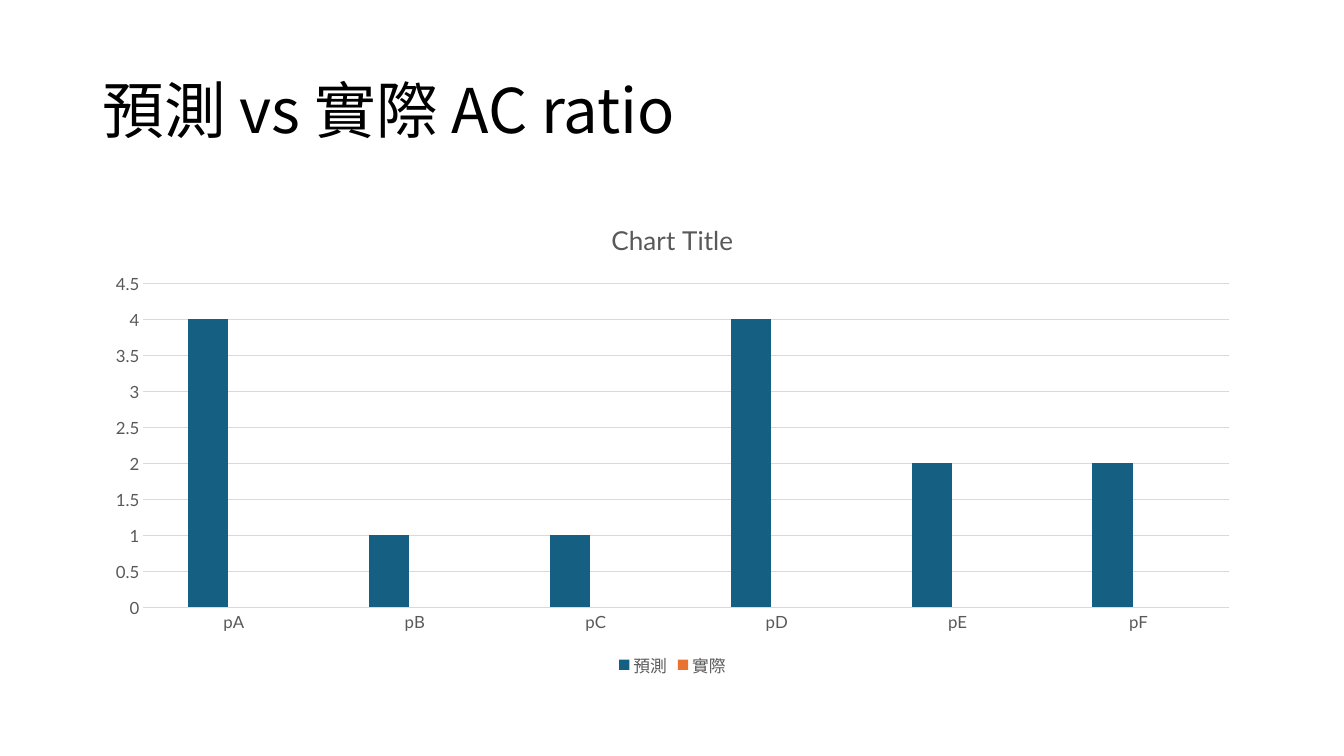
from lxml import etree
from pptx import Presentation
from pptx.chart.data import CategoryChartData
from pptx.dml.color import RGBColor
from pptx.enum.chart import XL_CHART_TYPE as ChartType, XL_LEGEND_POSITION as LegendPosition
from pptx.enum.chart import XL_TICK_MARK as TickMark
from pptx.enum.text import MSO_ANCHOR as Anchor
from pptx.oxml.ns import qn
from pptx.util import Inches, Pt

COLORS = {
    "title": "000000",
    "label": "595959",
    "grid": "D9D9D9",
    "預測": "156082",
    "實際": "E97132",
}
TITLE_FONT = "Noto Sans CJK SC"
CHART_FONT = "Lato"


def write_text(frame, text, size, color, font):
    para = frame.paragraphs[0]
    span = para.add_run()
    span.text = text
    style_font(span.font, size, color, font)
    return para, span


def style_font(target, size, color, font=CHART_FONT):
    target.size = Pt(size)
    target.bold = False
    target.name = font
    target.color.rgb = RGBColor.from_string(COLORS[color])


deck = Presentation()
deck.slide_width, deck.slide_height = Inches(13.33), Inches(7.5)
page = deck.slides.add_slide(deck.slide_layouts[6])

# Slide title
box = page.shapes.add_textbox(Inches(0.92), Inches(0.4), Inches(11.5), Inches(1.45))
box.text_frame.word_wrap = True
box.text_frame.vertical_anchor = Anchor.MIDDLE
para, span = write_text(box.text_frame, "預測 vs 實際 AC ratio", 44, "title", TITLE_FONT)
para.line_spacing = 0.9
etree.SubElement(span.font._element, qn("a:ea"), typeface=TITLE_FONT)

# Chart data: the actual ratios are still to be filled in
data = CategoryChartData()
data.categories = ["pA", "pB", "pC", "pD", "pE", "pF"]
data.add_series("預測", [4, 1, 1, 4, 2, 2])
data.add_series("實際", [None] * 6)
chart = page.shapes.add_chart(
    ChartType.COLUMN_CLUSTERED, Inches(0.92), Inches(2), Inches(11.5), Inches(4.76), data
).chart
style_font(chart.font, 10, "title")

# Chart title and legend
chart.has_title = True
write_text(chart.chart_title.text_frame, "Chart Title", 18.6, "label", CHART_FONT)
chart.chart_title.include_in_layout = False
chart.has_legend = True
chart.legend.position = LegendPosition.BOTTOM
chart.legend.include_in_layout = False
style_font(chart.legend.font, 12, "label")

# Columns
plot = chart.plots[0]
plot.gap_width = 219
plot.overlap = -27
plot.vary_by_categories = False
for series in plot.series:
    series.format.fill.solid()
    series.format.fill.fore_color.rgb = RGBColor.from_string(COLORS[series.name])
    series.invert_if_negative = False

# Axes and gridlines
for axis in (chart.category_axis, chart.value_axis):
    axis.major_tick_mark = axis.minor_tick_mark = TickMark.NONE
    style_font(axis.tick_labels.font, 12, "label")
chart.value_axis.has_major_gridlines = True
chart.value_axis.format.line.fill.background()
for line in (chart.category_axis.format.line, chart.value_axis.major_gridlines.format.line):
    line.width = Pt(0.75)
    line.color.rgb = RGBColor.from_string(COLORS["grid"])

deck.save("out.pptx")
